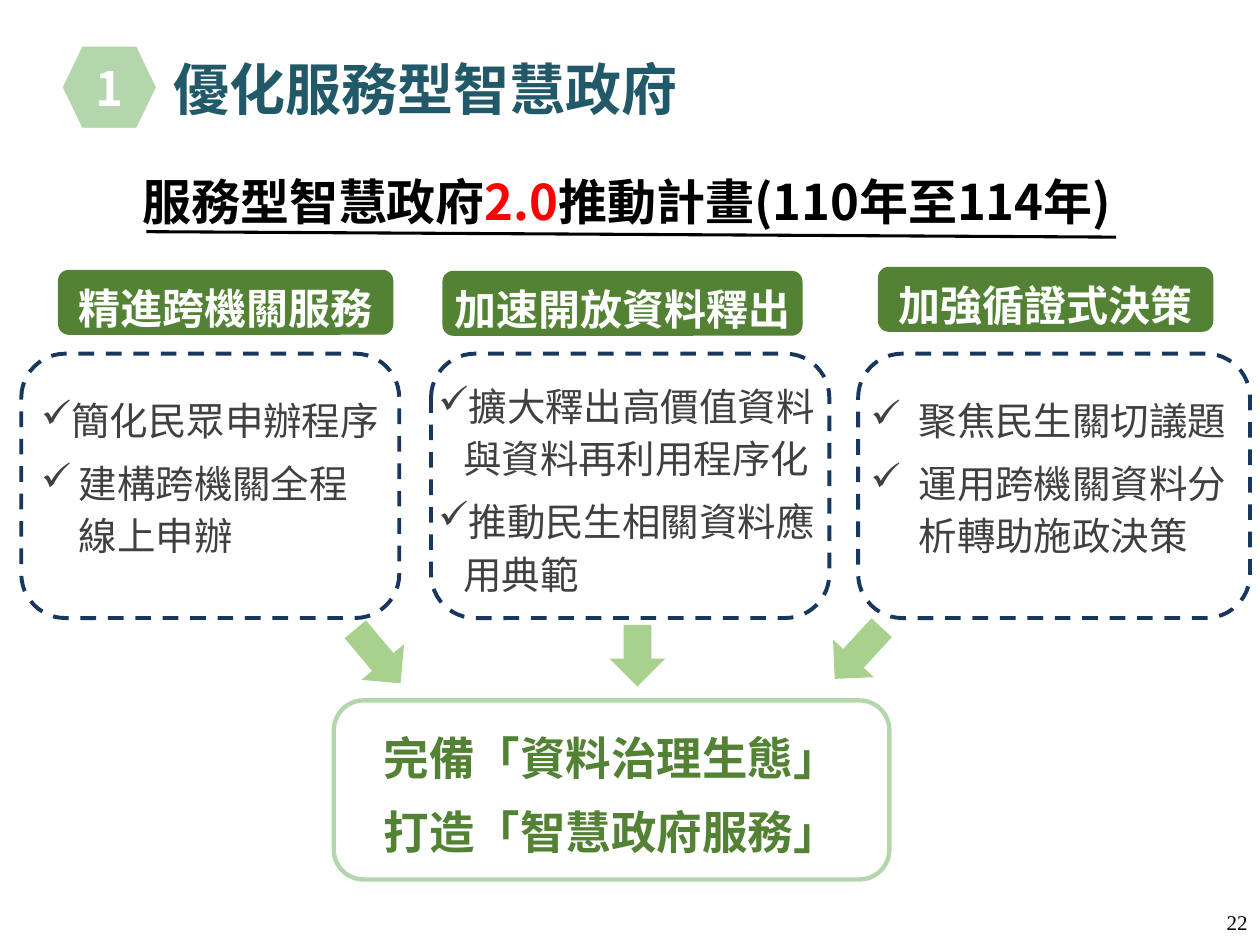
from collections import namedtuple

from lxml import etree
from pptx import Presentation
from pptx.dml.color import RGBColor
from pptx.enum.dml import MSO_LINE
from pptx.enum.shapes import MSO_CONNECTOR, MSO_SHAPE
from pptx.enum.text import MSO_ANCHOR, PP_ALIGN
from pptx.oxml.ns import qn
from pptx.util import Cm, Pt

WHITE = RGBColor(0xFF, 0xFF, 0xFF)
BLACK = RGBColor(0x00, 0x00, 0x00)
RED = RGBColor(0xFF, 0x00, 0x00)
TEAL = RGBColor(0x21, 0x59, 0x68)
NAVY = RGBColor(0x17, 0x37, 0x5E)
GRAY = RGBColor(0x40, 0x40, 0x40)
GREEN = RGBColor(0x54, 0x82, 0x35)
ARROW_GREEN = RGBColor(0xA9, 0xD1, 0x8E)
PALE_GREEN = RGBColor(0xB3, 0xD6, 0xAC)
FONT = "Noto Sans CJK SC"

# Lengths in centimetres
Box = namedtuple("Box", "left top width height")


def inside(box, left, top, width, height):
    return Box(box.left + left, box.top + top, width, height)


def style_run(run, size, color, bold=True, name=FONT):
    run.font.size = Pt(size)
    run.font.bold = bold
    run.font.color.rgb = color
    run.font.name = name
    east_asian = etree.SubElement(run.font._element, qn("a:ea"))
    east_asian.set("typeface", name)


def style_paragraph(paragraph, size, color, bold=True, name=FONT):
    for run in paragraph.runs:
        style_run(run, size, color, bold, name)


def add_box(slide, kind, box, fill=None, line=None, line_width=1):
    shape = slide.shapes.add_shape(kind, *map(Cm, box))
    shape.shadow.inherit = False
    if fill is None:
        shape.fill.background()
    else:
        shape.fill.solid()
        shape.fill.fore_color.rgb = fill
    if line is None:
        shape.line.fill.background()
    else:
        shape.line.color.rgb = line
        shape.line.width = Pt(line_width)
    return shape


def add_text(slide, box):
    text_frame = slide.shapes.add_textbox(*map(Cm, box)).text_frame
    text_frame.word_wrap = True
    return text_frame


def set_lines(text_frame, lines, spacing):
    """Write one paragraph per line, with a gap between paragraphs."""
    for index, line in enumerate(lines):
        paragraph = text_frame.paragraphs[0] if index == 0 else text_frame.add_paragraph()
        paragraph.text = line
        paragraph.line_spacing = Pt(spacing)
        if index:
            paragraph.space_before = Pt(6)
    return text_frame.paragraphs


def add_bullet(paragraph, indent):
    properties = paragraph._p.get_or_add_pPr()
    properties.set("marL", str(Cm(indent)))
    properties.set("indent", str(-Cm(indent)))
    etree.SubElement(properties, qn("a:buChar")).set("char", "✓")


def add_title(slide, box):
    # Numbered hexagon
    hexagon = add_box(slide, MSO_SHAPE.HEXAGON, inside(box, 0, 0, 1.93, 1.68),
                      PALE_GREEN, WHITE, 1.25)
    hexagon.adjustments[0] = 0.24
    text_frame = hexagon.text_frame
    text_frame.margin_left = text_frame.margin_right = 0
    text_frame.vertical_anchor = MSO_ANCHOR.MIDDLE
    text_frame.text = "1"
    text_frame.paragraphs[0].alignment = PP_ALIGN.CENTER
    style_paragraph(text_frame.paragraphs[0], 27, WHITE)

    # Slide title
    text_frame = add_text(slide, inside(box, 2.01, 0.05, 13.28, 1.63))
    text_frame.text = "優化服務型智慧政府"
    style_paragraph(text_frame.paragraphs[0], 32, TEAL)


def add_plan_heading(slide, box):
    paragraph = add_text(slide, box).paragraphs[0]
    for text, color in (("服務型智慧政府", BLACK), ("2.0", RED),
                        ("推動計畫(110年至114年)", BLACK)):
        run = paragraph.add_run()
        run.text = text
        style_run(run, 28, color)

    # Slightly sloping underline
    underline = slide.shapes.add_connector(
        MSO_CONNECTOR.STRAIGHT, Cm(box.left + 0.33), Cm(box.top + 1.34),
        Cm(box.left + 19.88), Cm(box.top + 1.45))
    underline.line.color.rgb = BLACK
    underline.line.width = Pt(1.75)
    etree.SubElement(underline._element.spPr, qn("a:effectLst"))


def add_pillar(slide, box, label, label_box, text_box, items):
    # Dashed frame
    frame = add_box(slide, MSO_SHAPE.ROUNDED_RECTANGLE, box, None, NAVY, 2.25)
    frame.line.dash_style = MSO_LINE.DASH

    # Green label above the frame
    tab = add_box(slide, MSO_SHAPE.ROUNDED_RECTANGLE, inside(box, *label_box), GREEN)
    text_frame = tab.text_frame
    text_frame.margin_left = text_frame.margin_right = text_frame.margin_bottom = 0
    text_frame.margin_top = Cm(0.2)
    text_frame.word_wrap = False
    text_frame.vertical_anchor = MSO_ANCHOR.MIDDLE
    text_frame.text = label
    text_frame.paragraphs[0].alignment = PP_ALIGN.CENTER
    style_paragraph(text_frame.paragraphs[0], 24, WHITE)

    # Check list
    text_frame = add_text(slide, inside(box, *text_box))
    paragraphs = set_lines(text_frame, [text for text, _ in items], 30)
    for paragraph, (_, indent) in zip(paragraphs, items):
        add_bullet(paragraph, indent)
        style_paragraph(paragraph, 22, GRAY, bold=False)


def add_goal(slide, box):
    # Arrows leading from the pillars
    for left, top, height, rotation in ((0.33, -1.6, 1.42, 320),
                                        (5.56, -1.52, 1.24, 0),
                                        (10.01, -1.65, 1.4, 42.5)):
        arrow = add_box(slide, MSO_SHAPE.DOWN_ARROW,
                        inside(box, left, top, 1.12, height), ARROW_GREEN)
        arrow.rotation = rotation

    # Goal box
    goal = add_box(slide, MSO_SHAPE.ROUNDED_RECTANGLE, box, None, PALE_GREEN, 2.5)
    goal.text_frame.vertical_anchor = MSO_ANCHOR.MIDDLE
    lines = ("完備「資料治理生態」", "打造「智慧政府服務」")
    for paragraph in set_lines(goal.text_frame, lines, 36):
        paragraph.alignment = PP_ALIGN.CENTER
        style_paragraph(paragraph, 26, GREEN)


def add_page_number(slide, box):
    paragraph = add_text(slide, box).paragraphs[0]
    paragraph.text = "22"
    paragraph.alignment = PP_ALIGN.RIGHT
    style_paragraph(paragraph, 12, BLACK, bold=False, name="Times New Roman")


def main():
    presentation = Presentation()
    presentation.slide_width = Cm(25.4)
    presentation.slide_height = Cm(19.05)
    slide = presentation.slides.add_slide(presentation.slide_layouts[6])

    add_title(slide, Box(1.24, 0.92, 15.3, 1.68))
    add_plan_heading(slide, Box(2.62, 3.33, 22.3, 1.45))

    top, height = 7.13, 5.33
    add_pillar(slide, Box(0.43, top, 7.62, height), "精進跨機關服務",
               (0.74, -1.69, 6.76, 1.31), (0.15, 0.62, 7.92, 3.6),
               [("簡化民眾申辦程序", 0.5), ("建構跨機關全程\v線上申辦", 0.76)])
    add_pillar(slide, Box(8.69, top, 8.03, height), "加速開放資料釋出",
               (0.23, -1.67, 7.26, 1.31), (-0.1, 0.34, 8.33, 4.65),
               [("擴大釋出高價值資料與資料再利用程序化", 0.5),
                ("推動民生相關資料應用典範", 0.5)])
    add_pillar(slide, Box(17.3, top, 7.9, height), "加強循證式決策",
               (0.4, -1.75, 6.76, 1.31), (0, 0.62, 8.2, 3.6),
               [("聚焦民生關切議題", 0.97), ("運用跨機關資料分析轉助施政決策", 0.97)])

    add_goal(slide, Box(6.73, 14.12, 11.2, 3.61))
    add_page_number(slide, Box(19.48, 18.21, 5.92, 1.02))
    presentation.save("out.pptx")


if __name__ == "__main__":
    main()
